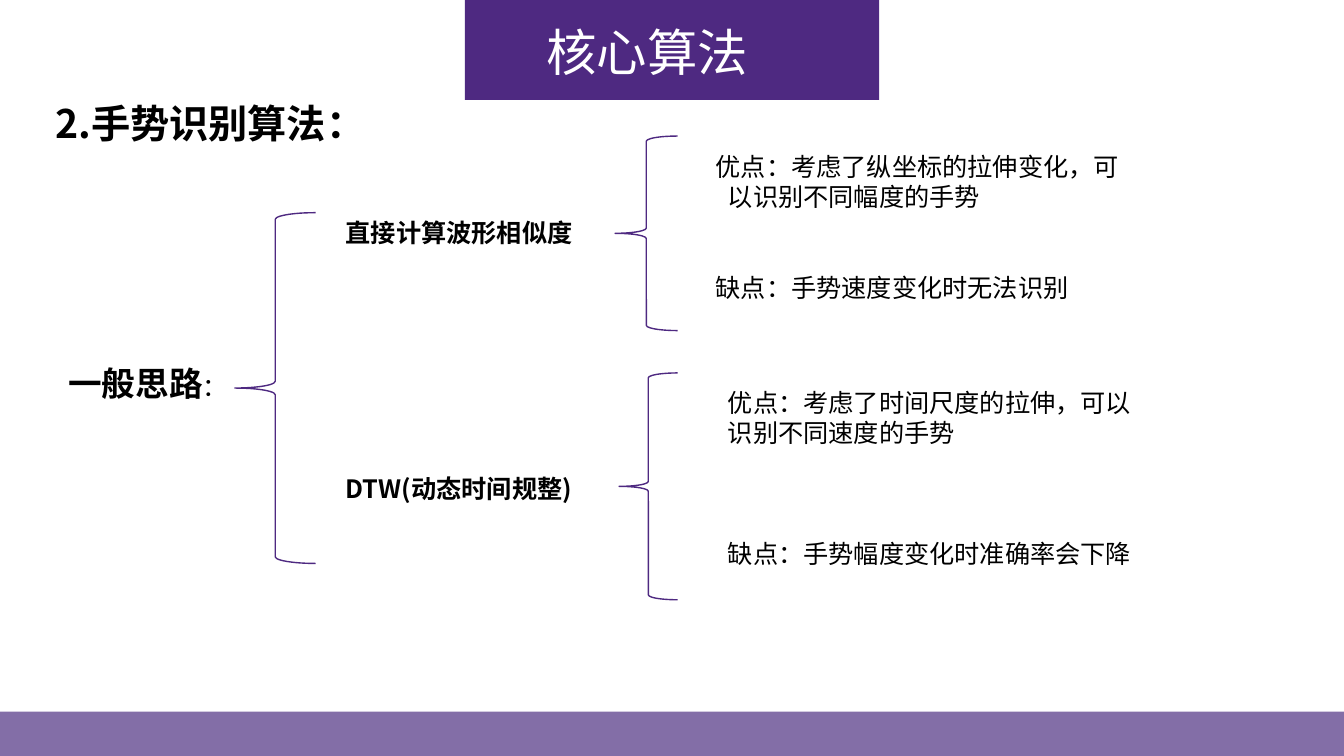
from pptx import Presentation
from pptx.dml.color import RGBColor
from pptx.enum import shapes, text
from pptx.oxml import ns
from pptx.util import Inches, Pt
from lxml import etree

FONT = "Noto Sans CJK SC"
PURPLE = RGBColor(0x4E, 0x29, 0x81)
LILAC = RGBColor(0x83, 0x6E, 0xA7)
WHITE = RGBColor(0xFF, 0xFF, 0xFF)
BLACK = RGBColor(0, 0, 0)


def add_bar(slide, box, color):
    """Draw a filled rectangle without outline."""
    bar = slide.shapes.add_shape(shapes.MSO_SHAPE.RECTANGLE, *map(Inches, box))
    bar.shadow.inherit = False
    bar.fill.solid()
    bar.fill.fore_color.rgb = color
    bar.line.fill.background()


def add_brace(slide, box):
    """Draw a thin left brace."""
    brace = slide.shapes.add_shape(shapes.MSO_SHAPE.LEFT_BRACE, *map(Inches, box))
    brace.shadow.inherit = False
    brace.fill.background()
    brace.line.color.rgb = PURPLE
    brace.line.width = Pt(1)


def add_run(para, words, size=18, bold=False, color=BLACK):
    """Append formatted text to a paragraph."""
    run = para.add_run()
    run.text = words
    font = run.font
    font.name, font.size, font.bold = FONT, Pt(size), bold
    font.color.rgb = color
    east = etree.SubElement(run._r.get_or_add_rPr(), ns.qn("a:ea"))
    east.set("typeface", FONT)


def add_text(slide, box, words, align=None, **style):
    """Place a wrapped text box and return its first paragraph and frame."""
    frame = slide.shapes.add_textbox(*map(Inches, box)).text_frame
    frame.word_wrap = True
    para = frame.paragraphs[0]
    para.alignment = align
    add_run(para, words, **style)
    return para, frame


def add_notes(slide, box, pro, con, gap, hang=0):
    """Place a strength and a weakness in one text box."""
    para, frame = add_text(slide, box, pro)
    if hang:
        props = para._p.get_or_add_pPr()
        props.set("marL", str(Inches(hang)))
        props.set("indent", str(-Inches(hang)))
    last = frame.add_paragraph()
    last.space_before = Pt(gap)
    add_run(last, con)


def main():
    """Build the slide and save it."""
    deck = Presentation()
    deck.slide_width, deck.slide_height = Inches(13.33), Inches(7.5)
    slide = deck.slides.add_slide(deck.slide_layouts[6])

    add_bar(slide, (0, 7.06, 13.33, 0.44), LILAC)
    add_bar(slide, (4.61, 0, 4.11, 0.99), PURPLE)
    add_text(slide, (5.32, 0.16, 2.56, 0.71), "核心算法",
             align=text.PP_ALIGN.JUSTIFY, size=36, color=WHITE)
    add_text(slide, (0.45, 0.94, 3.41, 0.57), "2.手势识别算法：", size=28, bold=True)

    idea, _ = add_text(slide, (0.58, 3.55, 2.55, 0.5), "一般思路", size=24, bold=True)
    add_run(idea, "：")

    for box in ((2.33, 2.11, 0.8, 3.48), (6.1, 1.35, 0.62, 1.93), (6.14, 3.7, 0.58, 2.25)):
        add_brace(slide, box)
    for top, name in ((2.11, "直接计算波形相似度"), (4.65, "DTW(动态时间规整)")):
        add_text(slide, (3.33, top, 3.39, 0.4), name, bold=True)

    add_notes(slide, (7, 1.45, 4.42, 1.82), "优点：考虑了纵坐标的拉伸变化，可以识别不同幅度的手势",
              "缺点：手势速度变化时无法识别", gap=43, hang=0.12)
    add_notes(slide, (7.12, 3.79, 4.29, 1.92), "优点：考虑了时间尺度的拉伸，可以识别不同速度的手势",
              "缺点：手势幅度变化时准确率会下降", gap=65)
    deck.save("out.pptx")


if __name__ == "__main__":
    main()
